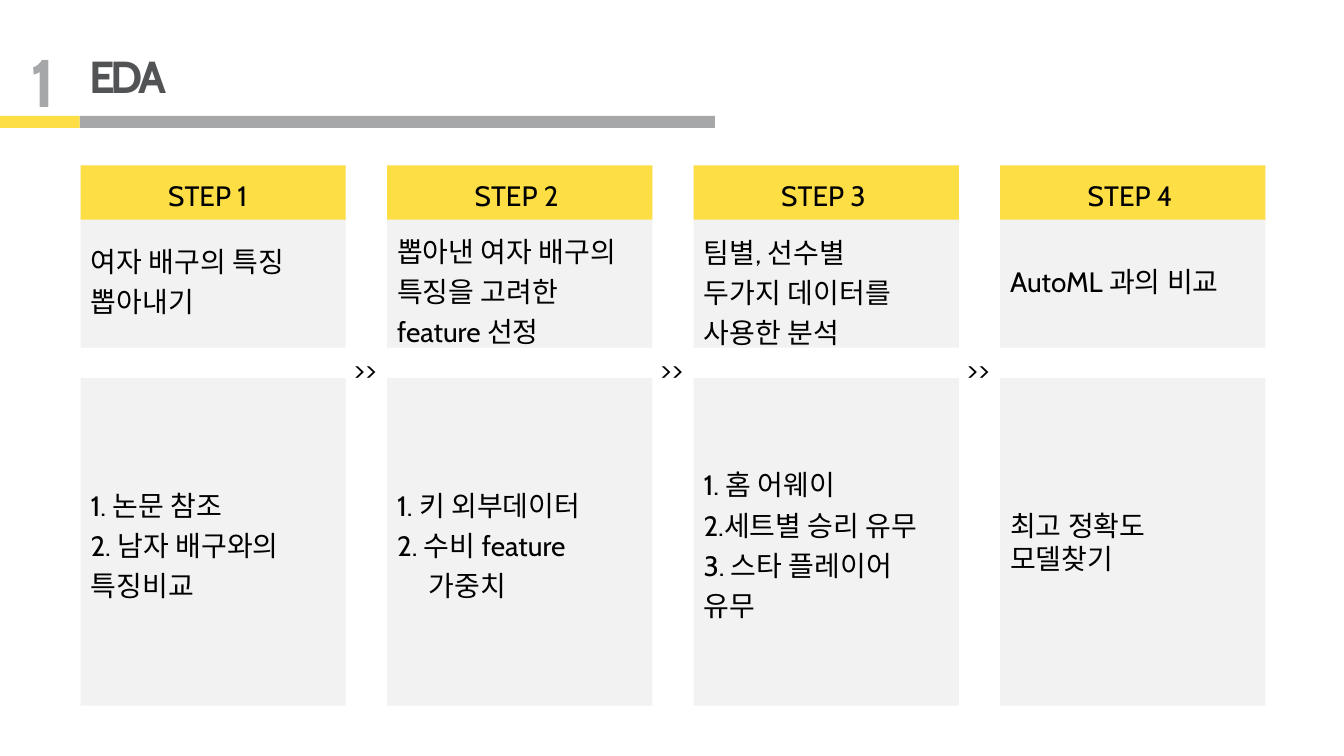
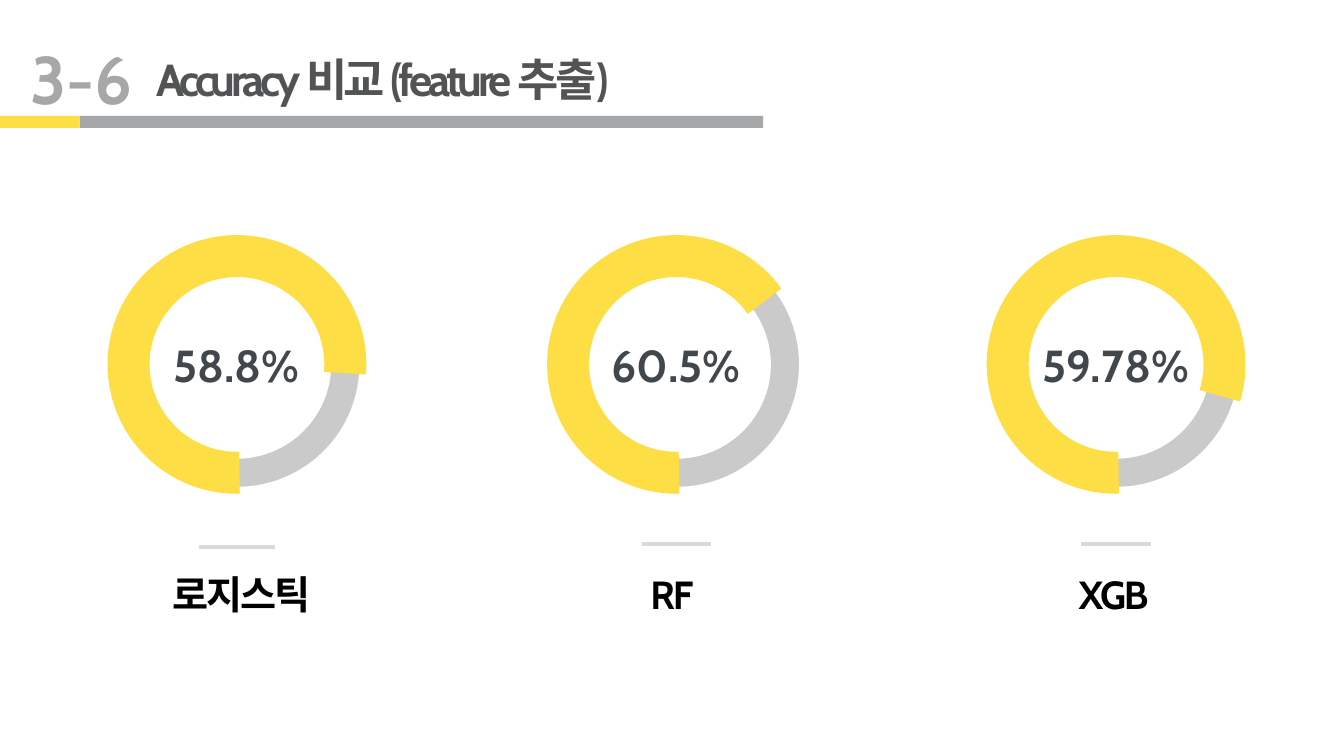
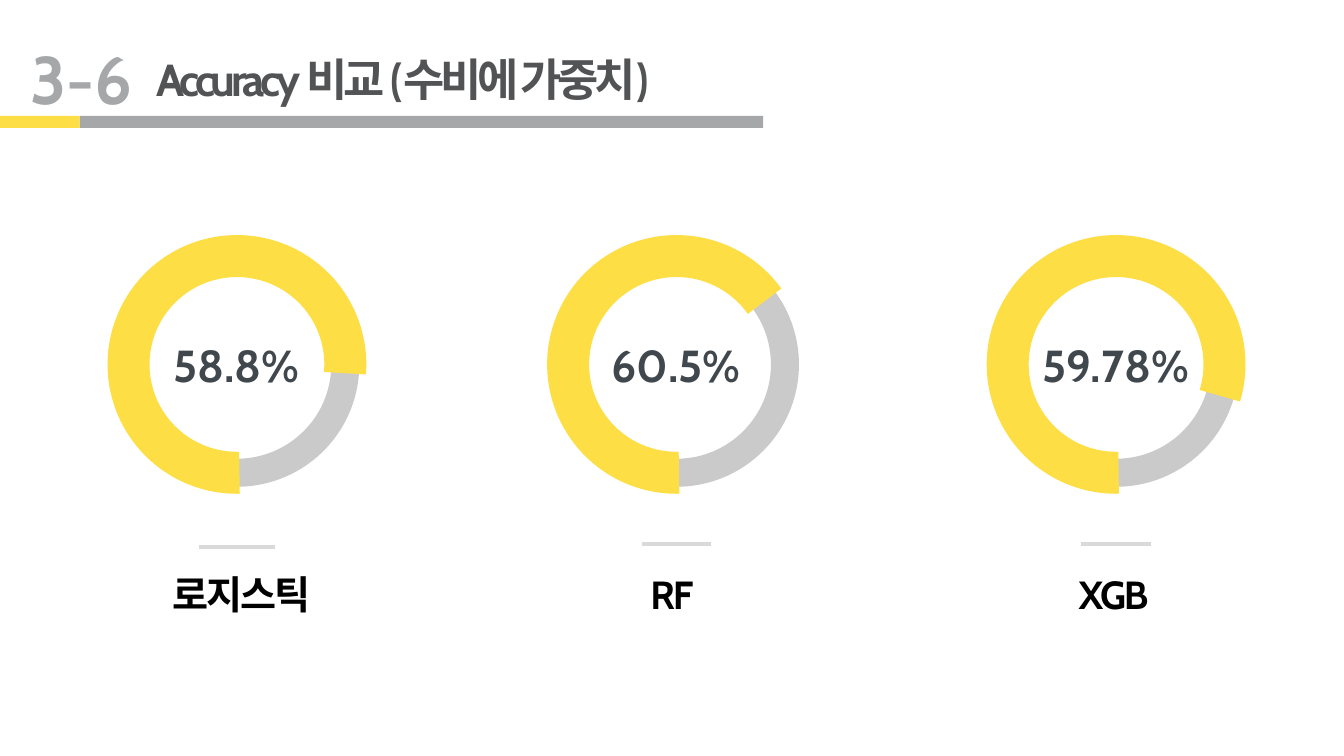
"""Build the three analysis slides: the EDA steps and two accuracy comparisons."""
from dataclasses import dataclass

import pptx
import pptx.dml.color
import pptx.enum.shapes
import pptx.enum.text
import pptx.oxml
import pptx.oxml.ns
import pptx.util

Inches = pptx.util.Inches
Shape = pptx.enum.shapes.MSO_SHAPE
Align = pptx.enum.text.PP_ALIGN
Anchor = pptx.enum.text.MSO_ANCHOR

FONT = "Cabin"
YELLOW = "FDDE45"
GREY = "A6A7A9"
TITLE_GREY = "525355"
VALUE_GREY = "40474D"
RING_GREY = "CACACB"
RULE_GREY = "D9D9D9"
CARD_GREY = "F2F2F2"
BLACK = "000000"

BODY = {"size": 20, "color": BLACK}
TITLE = {"size": 32, "color": TITLE_GREY, "bold": True, "tracking": -3}
NUMBER = {"size": 48, "color": GREY, "bold": True}
VALUE = {"size": 32, "color": VALUE_GREY, "bold": True}
LABEL = {"size": 28, "color": BLACK, "bold": True, "tracking": -1.5}

CARD_LEFT, CARD_STEP, CARD_WIDTH = 0.8, 3.04, 2.63
RING_CENTER, RING_STEP, RING_SIZE = 2.35, 4.36, 2.15
RING_TOP = 2.54


@dataclass(frozen=True)
class Line:
    """One paragraph with its left indent in inches."""
    text: str
    indent: float = 0


@dataclass(frozen=True)
class Step:
    """One column of the EDA slide."""
    summary: tuple[Line, ...]
    details: tuple[Line, ...]
    inset_top: float
    detail_spacing: float = 1.2


@dataclass(frozen=True)
class Gauge:
    """One accuracy ring; angles in degrees run clockwise from the right."""
    value: str
    label: str
    yellow_end: float
    grey_start: float
    label_shift: float
    rule_width: float = 0.69
    rule_top: float = 5.4


@dataclass(frozen=True)
class Heading:
    """The numbered title above the two-coloured band."""
    number: str
    title: str
    title_left: float
    title_top: float
    number_top: float
    band_width: float


STEPS = (
    Step((Line("여자 배구의 특징"), Line("뽑아내기")),
         (Line("1. 논문 참조"), Line("2. 남자 배구와의 특징비교")), 0.42),
    Step((Line("뽑아낸 여자 배구의 특징을 고려한 feature 선정"),),
         (Line("1. 키 외부데이터"), Line("2. 수비 feature"), Line("가중치", 0.31)), 0.62),
    Step((Line("팀별, 선수별"), Line("두가지 데이터를 사용한 분석")),
         (Line("1. 홈 어웨이"), Line("2.세트별 승리 유무"), Line("3. 스타 플레이어 유무")), 0.64),
    Step((Line("AutoML 과의 비교"),),
         (Line("최고 정확도"), Line("모델찾기")), 0.42, 1),
)
GAUGES = (
    Gauge("58.8%", "로지스틱", 4.65, 357.16, 0.05, 0.75, 5.43),
    Gauge("60.5%", "RF", 324.34, 323.42, -0.04),
    Gauge("59.78%", "XGB", 16.81, 265.39, -0.02),
)
EDA_HEADING = Heading("1", "EDA", 0.79, 0.43, 0.35, 6.3)
ACCURACY_HEADINGS = tuple(
    Heading("3-6", title, 1.45, 0.46, 0.32, 6.78)
    for title in ("Accuracy 비교 (feature 추출)", "Accuracy 비교 (수비에 가중치)")
)


def color(value: str) -> pptx.dml.color.RGBColor:
    """Turn a hex string into a colour."""
    return pptx.dml.color.RGBColor.from_string(value)


def write(shape, lines, style: dict, align=Align.LEFT, anchor=Anchor.TOP,
          spacing: float = 1, **margins: float) -> None:
    """Fill a shape with styled paragraphs."""
    frame = shape.text_frame
    frame.word_wrap = True
    frame.vertical_anchor = anchor
    for side, inset in margins.items():
        setattr(frame, f"margin_{side}", Inches(inset))
    for index, line in enumerate(lines):
        para = frame.add_paragraph() if index else frame.paragraphs[0]
        para.alignment = align
        para.line_spacing = float(spacing)
        if line.indent:
            para._p.get_or_add_pPr().set("marL", str(Inches(line.indent)))
        span = para.add_run()
        span.text = line.text
        values = {"name": FONT, "size": pptx.util.Pt(style["size"]),
                  "bold": style.get("bold", False)}
        for name, value in values.items():
            setattr(span.font, name, value)
        span.font.color.rgb = color(style["color"])
        properties = span._r.get_or_add_rPr()
        properties.append(pptx.oxml.parse_xml(
            f'<a:ea {pptx.oxml.ns.nsdecls("a")} typeface="{FONT}"/>'))
        if "tracking" in style:
            properties.set("spc", str(int(style["tracking"] * 100)))


def add_text(page, text: str, left: float, top: float, width: float, height: float,
             style: dict, **layout) -> None:
    """Add a one-paragraph text box."""
    box = page.shapes.add_textbox(Inches(left), Inches(top), Inches(width), Inches(height))
    write(box, [Line(text)], style, **layout)


def add_box(page, left: float, top: float, width: float, height: float, fill: str):
    """Add a plain filled rectangle."""
    box = page.shapes.add_shape(Shape.RECTANGLE, Inches(left), Inches(top),
                                Inches(width), Inches(height))
    box.shadow.inherit = False
    box.fill.solid()
    box.fill.fore_color.rgb = color(fill)
    box.line.fill.background()
    return box


def add_arc(page, center: float, start: float, end: float, stroke: str, weight: float) -> None:
    """Add one thick arc of a ring."""
    arc = page.shapes.add_shape(Shape.ARC, Inches(center - RING_SIZE / 2), Inches(RING_TOP),
                                Inches(RING_SIZE), Inches(RING_SIZE))
    arc.shadow.inherit = False
    arc.fill.background()
    arc.line.color.rgb = color(stroke)
    arc.line.width = pptx.util.Pt(weight)
    for index, angle in enumerate((start, end)):
        arc.adjustments[index] = angle * 0.6


def add_rule(page, center: float, top: float, width: float) -> None:
    """Add the short horizontal rule above a label."""
    rule = page.shapes.add_connector(
        pptx.enum.shapes.MSO_CONNECTOR.STRAIGHT,
        Inches(center - width / 2), Inches(top), Inches(center + width / 2), Inches(top))
    rule.line.color.rgb = color(RULE_GREY)
    rule.line.width = pptx.util.Pt(3)
    rule._element.spPr.append(pptx.oxml.parse_xml(
        f'<a:effectLst {pptx.oxml.ns.nsdecls("a")}/>'))


def add_page(deck, heading: Heading):
    """Add a blank slide with the shared heading."""
    page = deck.slides.add_slide(deck.slide_layouts[6])
    add_box(page, 0.79, 1.15, heading.band_width, 0.12, GREY)
    add_box(page, 0, 1.15, 0.79, 0.12, YELLOW)
    title_width = 1.17 if len(heading.title) < 5 else 5.97
    number_width = 0.52 if len(heading.number) == 1 else 1.44
    add_text(page, heading.title, heading.title_left, heading.title_top,
             title_width, 0.64, TITLE)
    add_text(page, heading.number, 0.2, heading.number_top, number_width, 0.91, NUMBER)
    return page


def add_step(page, index: int, step: Step) -> None:
    """Draw one step column and the arrows that lead to the next."""
    left = CARD_LEFT + index * CARD_STEP
    summary = add_box(page, left, 1.64, CARD_WIDTH, 1.81, CARD_GREY)
    write(summary, step.summary, BODY, anchor=Anchor.MIDDLE, spacing=1.2,
          top=step.inset_top, bottom=0)
    add_box(page, left, 1.64, CARD_WIDTH, 0.54, YELLOW)
    add_text(page, f"STEP {index + 1}", left + 0.77, 1.72, 1.6, 0.44, BODY,
             anchor=Anchor.MIDDLE)
    details = add_box(page, left, 3.75, CARD_WIDTH, 3.25, CARD_GREY)
    write(details, step.details, BODY, anchor=Anchor.MIDDLE, spacing=step.detail_spacing)
    if index < len(STEPS) - 1:
        add_text(page, ">>", left + 2.61, 3.45, 1.26, 0.44, BODY)


def add_gauge(page, index: int, gauge: Gauge) -> None:
    """Draw one ring with its value, rule and label."""
    center = RING_CENTER + index * RING_STEP
    add_arc(page, center, gauge.grey_start, 89.11, RING_GREY, 20)
    add_arc(page, center, 88.67, gauge.yellow_end, YELLOW, 30)
    add_text(page, gauge.value, center - 0.98, 3.3, 1.95, 0.64, VALUE, align=Align.CENTER)
    add_rule(page, center, gauge.rule_top, gauge.rule_width)
    add_text(page, gauge.label, center + gauge.label_shift - 0.82, 5.61, 1.63, 0.57,
             LABEL, align=Align.CENTER)


def main() -> None:
    """Build and save the deck."""
    deck = pptx.Presentation()
    deck.slide_width, deck.slide_height = Inches(13.33), Inches(7.5)
    page = add_page(deck, EDA_HEADING)
    for index, step in enumerate(STEPS):
        add_step(page, index, step)
    for heading in ACCURACY_HEADINGS:
        page = add_page(deck, heading)
        for index, gauge in enumerate(GAUGES):
            add_gauge(page, index, gauge)
    deck.save("out.pptx")


if __name__ == "__main__":
    main()
